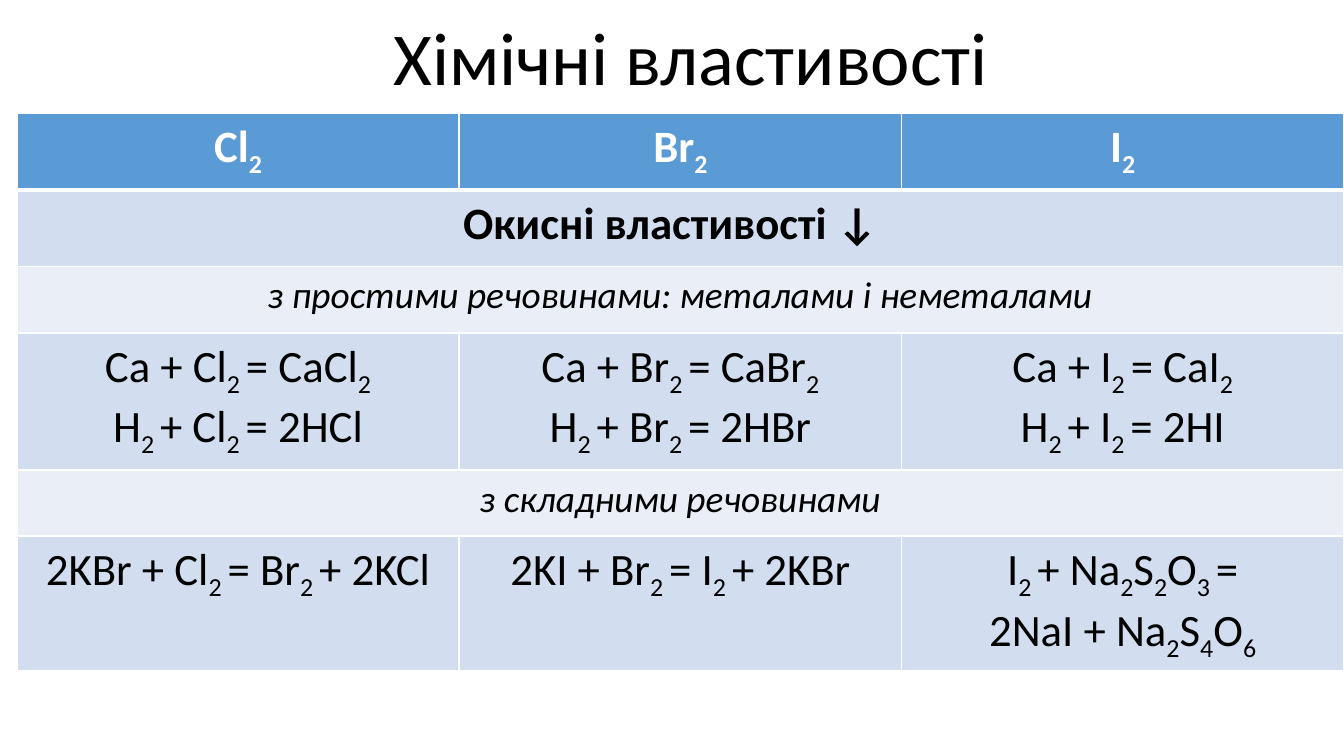
from lxml import etree
from pptx import Presentation
from pptx.dml.color import RGBColor
from pptx.enum.text import MSO_ANCHOR, PP_ALIGN
from pptx.oxml.ns import qn
from pptx.util import Pt

FONT = "Calibri"
BLUE, PALE, PALEST = "5B9BD5", "D2DEEF", "EAEFF7"
WHITE, BLACK = "FFFFFF", "000000"

HEADER = dict(fill=BLUE, color=WHITE, bold=True)
SECTION = dict(fill=PALE, bold=True)
SUBSECTION = dict(fill=PALEST, size=20, italic=True)
REACTIONS = dict(fill=PALE)

ROWS = [
    (41, HEADER, ["Cl_2", "Br_2", "I_2"]),
    (41, SECTION, ["Окисні властивості ↓"]),
    (35.5, SUBSECTION, ["з простими речовинами: металами і неметалами"]),
    (73.5, REACTIONS, [
        "Ca + Cl_2 = CaCl_2\nH_2 + Cl_2 = 2HCl",
        "Ca + Br_2 = CaBr_2\nH_2 + Br_2 = 2HBr",
        "Ca + I_2 = CaI_2\nH_2 + I_2 = 2HI",
    ]),
    (35.5, SUBSECTION, ["з складними речовинами"]),
    (62.5, REACTIONS, [
        "2KBr + Cl_2 = Br_2 + 2KCl",
        "2KI + Br_2 = I_2 + 2KBr",
        "I_2 + Na_2S_2O_3 =\n2NaI + Na_2S_4O_6",
    ]),
]


def paint(value):
    return RGBColor.from_string(value)


def style(paragraph, size, color, bold=False, italic=False):
    paragraph.alignment = PP_ALIGN.CENTER
    font = paragraph.font
    font.name, font.size = FONT, Pt(size)
    font.bold, font.italic = bold, italic
    font.color.rgb = paint(color)


def add_span(paragraph, text, subscript=False):
    if text:
        span = paragraph.add_run()
        span.text = text
        if subscript:
            span.font._element.set("baseline", "-25000")


def write_formula(paragraph, formula):
    plain, *pieces = formula.split("_")
    add_span(paragraph, plain)
    for piece in pieces:
        length = 2 if piece[1:2] == " " else 1
        add_span(paragraph, piece[:length], subscript=True)
        add_span(paragraph, piece[length:])


def set_borders(cell, bottom):
    properties = cell._tc.get_or_add_tcPr()
    widths = {"a:lnL": 1, "a:lnR": 1, "a:lnT": 1, "a:lnB": bottom}
    for index, (tag, width) in enumerate(widths.items()):
        line = etree.Element(qn(tag), w=str(Pt(width)))
        fill = etree.SubElement(line, qn("a:solidFill"))
        etree.SubElement(fill, qn("a:srgbClr"), val=WHITE)
        properties.insert(index, line)


def fill_cell(cell, text, fill, size=24, color=BLACK, bold=False, italic=False):
    cell.fill.solid()
    cell.fill.fore_color.rgb = paint(fill)
    frame = cell.text_frame
    for index, formula in enumerate(text.split("\n")):
        paragraph = frame.add_paragraph() if index else frame.paragraphs[0]
        style(paragraph, size, color, bold, italic)
        write_formula(paragraph, formula)


def add_title(page, left, top, width, height):
    title = page.shapes.title
    title.left, title.top = Pt(left), Pt(top)
    title.width, title.height = Pt(width), Pt(height)
    frame = title.text_frame
    frame.text = "Хімічні властивості"
    frame.vertical_anchor = MSO_ANCHOR.MIDDLE
    frame.paragraphs[0].line_spacing = 0.9
    style(frame.paragraphs[0], 40, BLACK)


def add_reactions_table(page, left, top, width, height):
    columns = 3
    table = page.shapes.add_table(
        len(ROWS), columns, Pt(left), Pt(top), Pt(width), Pt(height)).table
    for column in table.columns:
        column.width = Pt(width / columns)
    for index, (row_height, look, texts) in enumerate(ROWS):
        table.rows[index].height = Pt(row_height)
        if len(texts) == 1:
            table.cell(index, 0).merge(table.cell(index, columns - 1))
        for column, text in enumerate(texts):
            fill_cell(table.cell(index, column), text, **look)
        for column in range(columns):
            set_borders(table.cell(index, column), 3 if look is HEADER else 1)
    table.cell(1, 0).margin_right = Pt(18)


def main():
    deck = Presentation()
    deck.slide_width, deck.slide_height = Pt(720), Pt(405)
    page = deck.slides.add_slide(deck.slide_layouts[5])
    add_title(page, 60, 4.5, 620, 57)
    add_reactions_table(page, 9, 60.8, 711, sum(row[0] for row in ROWS))
    deck.save("out.pptx")


if __name__ == "__main__":
    main()
